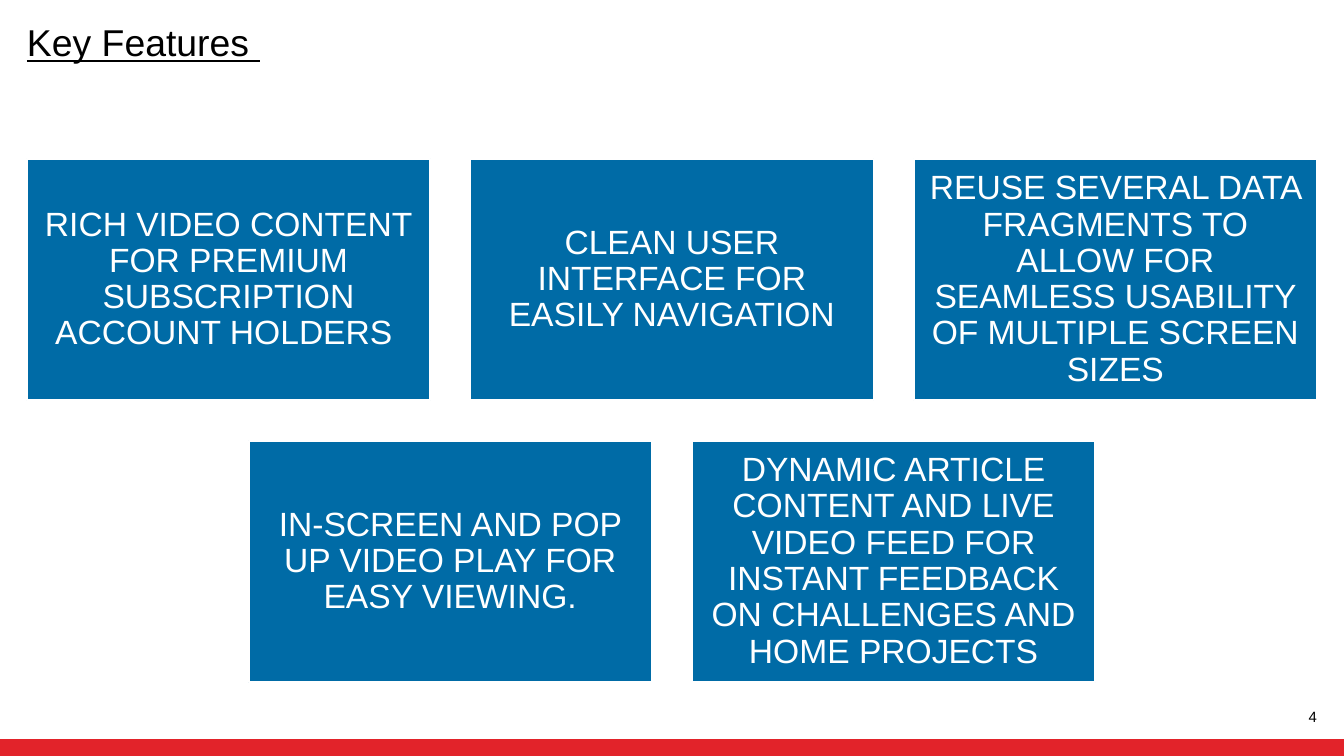
from pptx import Presentation
from pptx.dml.color import RGBColor
from pptx.enum.shapes import MSO_SHAPE
from pptx.enum.text import MSO_ANCHOR, PP_ALIGN
from pptx.util import Cm, Pt

TITLE = "Key Features "
PAGE = "4"
ROWS = [
    [
        "RICH VIDEO CONTENT FOR PREMIUM SUBSCRIPTION ACCOUNT HOLDERS ",
        "CLEAN USER INTERFACE FOR EASILY NAVIGATION",
        "REUSE SEVERAL DATA FRAGMENTS TO ALLOW FOR SEAMLESS USABILITY "
        "OF MULTIPLE SCREEN SIZES",
    ],
    [
        "IN-SCREEN AND POP UP VIDEO PLAY FOR EASY VIEWING.",
        "DYNAMIC ARTICLE CONTENT AND LIVE VIDEO FEED FOR INSTANT FEEDBACK "
        "ON CHALLENGES AND HOME PROJECTS",
    ],
]
COLORS = {"card": "006BA6", "band": "E2232A", "white": "FFFFFF", "text": "000000"}

# Lengths in centimetres
WIDTH, HEIGHT = 25.4, 14.29
CARD_W, CARD_H, GAP, TOP = 7.62, 4.57, 0.76, 3
BAND_H = 0.32


def color(name):
    return RGBColor.from_string(COLORS[name])


def add_rect(slide, left, top, width, height, fill):
    rect = slide.shapes.add_shape(
        MSO_SHAPE.RECTANGLE, Cm(left), Cm(top), Cm(width), Cm(height))
    rect.shadow.inherit = False
    rect.fill.solid()
    rect.fill.fore_color.rgb = color(fill)
    rect.line.fill.background()
    return rect


def set_text(shape, text, size, ink, align, anchor, inset=0, wrap=True, spacing=0.9):
    frame = shape.text_frame
    frame.word_wrap = wrap
    frame.vertical_anchor = anchor
    frame.margin_left = frame.margin_right = Cm(inset)
    frame.margin_top = frame.margin_bottom = Cm(inset)
    para = frame.paragraphs[0]
    para.text = text
    para.alignment = align
    para.line_spacing = spacing
    para.font.name = "Arial"
    para.font.size = Pt(size)
    para.font.color.rgb = color(ink)
    return para


def add_card(slide, left, top, text):
    card = add_rect(slide, left, top, CARD_W, CARD_H, "card")
    card.line.color.rgb = color("white")
    card.line.width = Pt(1)
    set_text(card, text, 18, "white", PP_ALIGN.CENTER, MSO_ANCHOR.MIDDLE, inset=0.18)


def main():
    deck = Presentation()
    deck.slide_width, deck.slide_height = Cm(WIDTH), Cm(HEIGHT)
    slide = deck.slides.add_slide(deck.slide_layouts[6])

    add_rect(slide, 0, HEIGHT - BAND_H, WIDTH, BAND_H, "band")
    page = slide.shapes.add_textbox(Cm(24), Cm(13.38), Cm(0.89), Cm(0.33))
    set_text(page, PAGE, 8, "text", PP_ALIGN.RIGHT, MSO_ANCHOR.MIDDLE,
             wrap=False, spacing=1.0)

    title = slide.shapes.add_textbox(Cm(0.51), Cm(0.46), Cm(22.17), Cm(1.42))
    head = set_text(title, TITLE, 20, "text", PP_ALIGN.LEFT, MSO_ANCHOR.TOP)
    head.font.underline = True

    for row, cards in enumerate(ROWS):
        span = len(cards) * (CARD_W + GAP) - GAP
        start = (WIDTH - span) / 2
        for col, text in enumerate(cards):
            add_card(slide, start + col * (CARD_W + GAP),
                     TOP + row * (CARD_H + GAP), text)

    deck.save("out.pptx")


if __name__ == "__main__":
    main()
